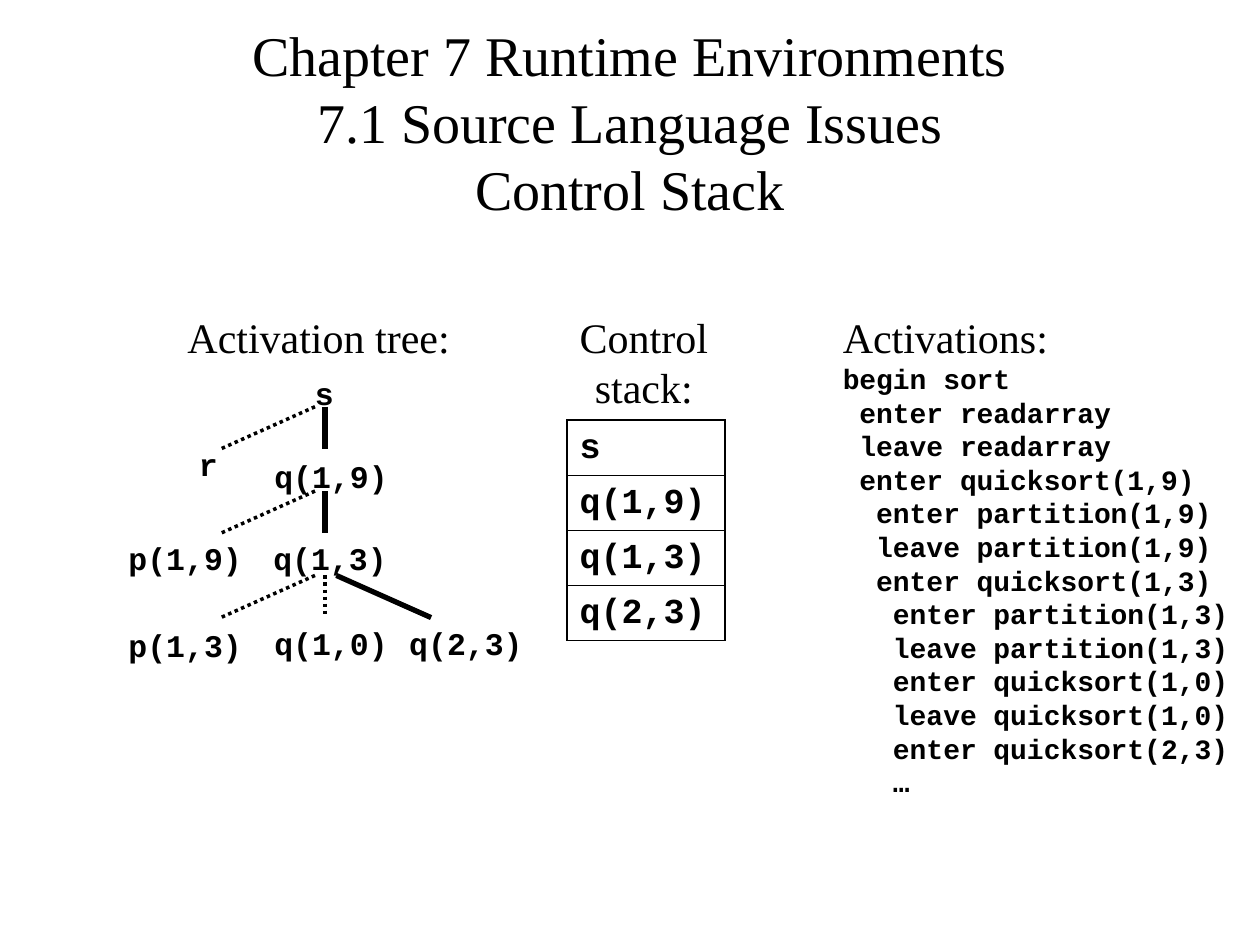
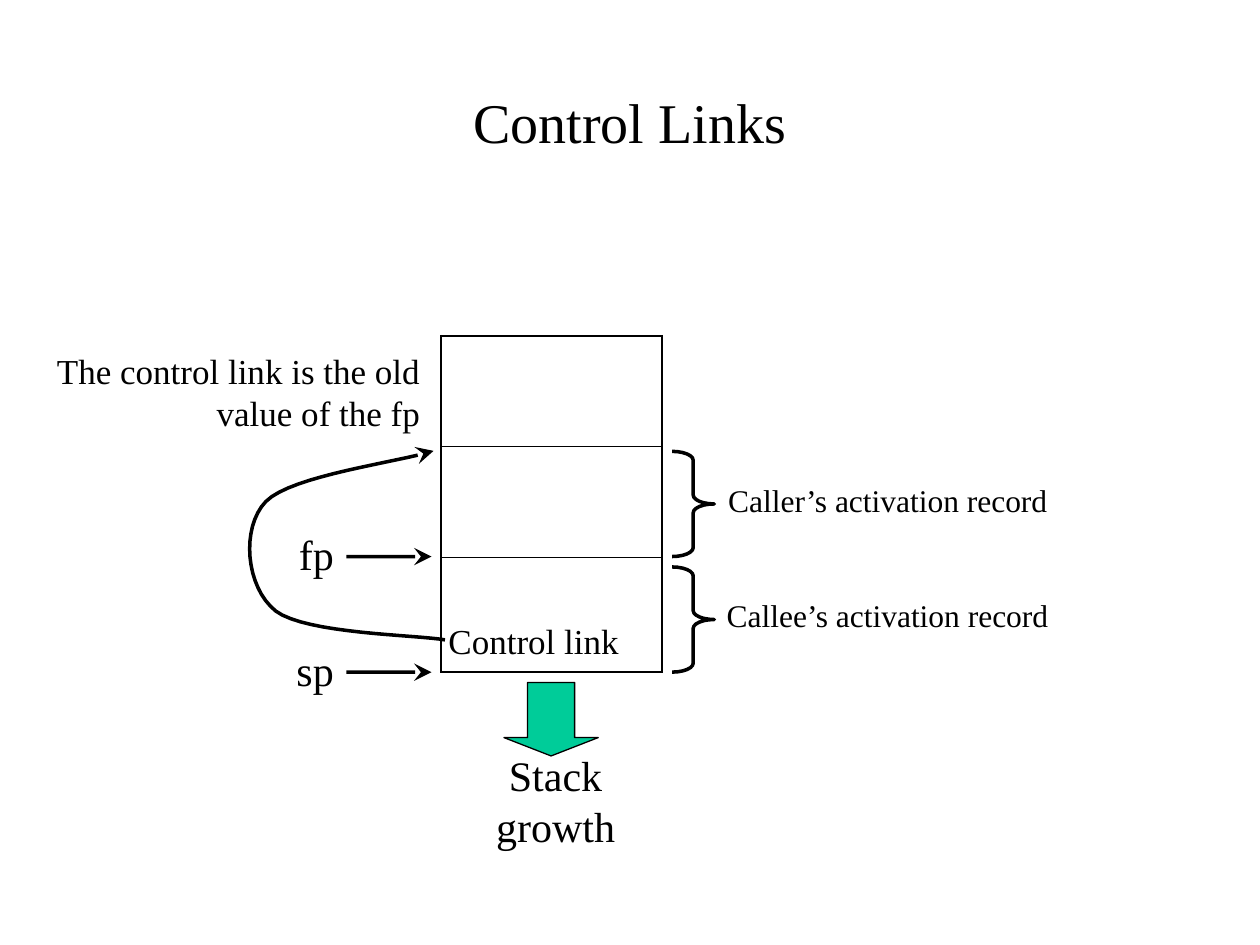
from dataclasses import dataclass

from lxml import etree
from pptx import Presentation
from pptx.dml.color import RGBColor
from pptx.enum.dml import MSO_LINE
from pptx.enum.shapes import MSO_CONNECTOR, MSO_SHAPE
from pptx.enum.text import MSO_ANCHOR, MSO_AUTO_SIZE, PP_ALIGN
from pptx.oxml.ns import qn
from pptx.util import Cm, Pt

LEFT, CENTER, RIGHT = PP_ALIGN.LEFT, PP_ALIGN.CENTER, PP_ALIGN.RIGHT
MIDDLE = MSO_ANCHOR.MIDDLE
STRAIGHT = MSO_CONNECTOR.STRAIGHT
DOTTED = MSO_LINE.ROUND_DOT
RIGHT_SIDE = 3
TITLE_ONLY = 5


@dataclass(frozen=True)
class Theme:
    ink: RGBColor = RGBColor(0, 0, 0)
    accent: RGBColor = RGBColor(0x00, 0xCC, 0x99)
    serif: str = "Times New Roman"
    mono: str = "Courier New"
    title: int = 32
    heading: int = 24
    label: int = 20
    node: int = 18
    code: int = 16
    leading: float = 1.2
    thin: float = 2
    thick: float = 3
    outer_border: float = 1.08
    inner_border: float = 0.45


THEME = Theme()

# Slide 1 content; all places are in centimetres
STACK_TITLE = "Chapter 7 Runtime Environments\n7.1 Source Language Issues\nControl Stack"
HEADINGS = [  # text, left, top, width, height
    ("Activation tree:", 3.53, 6.15, 5.79, 1.27),
    ("Control\nstack:", 11.43, 6.15, 3.1, 2.29),
]
TREE_NODES = [  # text, left, top, width
    ("s", 6.1, 7.42, 0.89),
    ("r", 3.76, 8.84, 0.89), ("q(1,9)", 5.28, 9.09, 2.79),
    ("p(1,9)", 2.34, 10.74, 2.79), ("q(1,3)", 5.26, 10.74, 2.79),
    ("p(1,3)", 2.34, 12.5, 2.79), ("q(1,0)", 5.28, 12.45, 2.79),
    ("q(2,3)", 8, 12.45, 2.79),
]
BRANCH_X = {"left": (6.35, 4.45), "middle": (6.55, 6.55), "right": (6.78, 8.69)}
TREE_LEVELS = [  # branch and whether it is on the live path
    [("left", False), ("middle", True)],
    [("left", False), ("middle", True)],
    [("left", False), ("middle", False), ("right", True)],
]
FIRST_LEVEL, LEVEL_STEP, BRANCH_DROP = 8.2, 1.7, 0.85
CONTROL_STACK = ["s", "q(1,9)", "q(1,3)", "q(2,3)"]
ACTIVATIONS = """begin sort
 enter readarray
 leave readarray
 enter quicksort(1,9)
  enter partition(1,9)
  leave partition(1,9)
  enter quicksort(1,3)
   enter partition(1,3)
   leave partition(1,3)
   enter quicksort(1,0)
   leave quicksort(1,0)
   enter quicksort(2,3)
   …"""

# Slide 2 content
LINKS_TITLE = "Control Links"
FRAME_HEIGHTS = [2.23, 2.23, 2.31]
POINTERS = [("fp", 11.22), ("sp", 13.55)]  # text, arrow height
POINTER_START, POINTER_END = 6.98, 8.7
POINTER_WIDTH, POINTER_HEIGHT = 1.6, 1.38
RECORDS = [("Caller’s activation record", 14.43, 6.96, 9.1),
           ("Callee’s activation record", 14.4, 7.04, 11.43)]
LINK_CURVE = [  # start, then two handles and an end for each bend
    (8.97, 12.9),
    (8.41, 12.8), (6.17, 12.78), (5.56, 12.32),
    (4.95, 11.84), (4.85, 10.64), (5.36, 10.11),
    (5.89, 9.58), (8.03, 9.32), (8.74, 9.09),
]
CURVE_STEPS = 16


def write(text_frame, text, size, font=THEME.serif, bold=False, align=LEFT):
    """Add one paragraph a line, using the empty first paragraph if there is one."""
    for line in text.split("\n"):
        paragraph = text_frame.paragraphs[0]
        if paragraph.runs:
            paragraph = text_frame.add_paragraph()
        paragraph.alignment = align
        paragraph.line_spacing = Pt(size * THEME.leading)
        paragraph.space_before = Pt(0)
        run = paragraph.add_run()
        run.text = line
        run.font.size, run.font.name, run.font.bold = Pt(size), font, bold
        run.font.color.rgb = THEME.ink


def add_text(slide, text, left, top, width, height, size, wrap=False, **text_format):
    box = slide.shapes.add_textbox(Cm(left), Cm(top), Cm(width), Cm(height))
    box.text_frame.word_wrap = wrap
    write(box.text_frame, text, size, **text_format)
    return box


def add_titled_slide(presentation, title):
    slide = presentation.slides.add_slide(presentation.slide_layouts[TITLE_ONLY])
    shape = slide.shapes.title
    shape.left, shape.top, shape.width, shape.height = Cm(1.9), Cm(0.43), Cm(21.6), Cm(4.02)
    shape.text_frame.auto_size = MSO_AUTO_SIZE.NONE
    shape.text_frame.vertical_anchor = MIDDLE
    write(shape.text_frame, title, THEME.title, align=CENTER)
    return slide


def style_line(shape, width, dash=None, arrow=False):
    line = shape.line
    line.color.rgb = THEME.ink
    line.width = Pt(width)
    if dash:
        line.dash_style = dash
    if arrow:
        properties = shape._element.spPr.find(qn("a:ln"))
        etree.SubElement(properties, qn("a:tailEnd"), type="stealth", w="lg", len="lg")


def add_line(slide, start, end, width, **line_format):
    connector = slide.shapes.add_connector(STRAIGHT, *(Cm(value) for value in (*start, *end)))
    style_line(connector, width, **line_format)
    etree.SubElement(connector._element.spPr, qn("a:effectLst"))
    return connector


def add_shape(slide, kind, left, top, width, height, adjustments, line_width):
    shape = slide.shapes.add_shape(kind, Cm(left), Cm(top), Cm(width), Cm(height))
    shape.shadow.inherit = False
    shape.fill.background()
    for index, value in enumerate(adjustments):
        shape.adjustments[index] = value
    style_line(shape, line_width)
    return shape


def set_borders(cell, widths):
    properties = cell._tc.get_or_add_tcPr()
    for index, (side, width) in enumerate(widths.items()):
        border = etree.Element(qn(f"a:ln{side}"), w=str(Pt(width)))
        fill = etree.SubElement(border, qn("a:solidFill"))
        etree.SubElement(fill, qn("a:srgbClr"), val=str(THEME.ink))
        properties.insert(index, border)


def add_stack_table(slide, texts, left, top, width, heights):
    """Draw a one-column stack with a strong outline and fine dividers."""
    table = slide.shapes.add_table(len(heights), 1, Cm(left), Cm(top),
                                   Cm(width), Cm(sum(heights))).table
    table.first_row = table.horz_banding = False
    outer, inner = THEME.outer_border, THEME.inner_border
    last = len(heights) - 1
    for index, (text, height) in enumerate(zip(texts, heights)):
        table.rows[index].height = Cm(height)
        cell = table.cell(index, 0)
        cell.fill.background()
        cell.vertical_anchor = MIDDLE
        set_borders(cell, {"L": outer, "R": outer,
                           "T": inner if index else outer,
                           "B": inner if index < last else outer})
        if text:
            write(cell.text_frame, text, THEME.label, font=THEME.mono, bold=True)


def bezier_points(points, steps):
    """Sample a chain of cubic curves, leaving out its start."""
    for first in range(0, len(points) - 1, 3):
        controls = points[first:first + 4]
        for step in range(1, steps + 1):
            t = step / steps
            weights = ((1 - t) ** 3, 3 * t * (1 - t) ** 2, 3 * t * t * (1 - t), t ** 3)
            yield tuple(Cm(sum(w * value for w, value in zip(weights, axis)))
                        for axis in zip(*controls))


def add_curve(slide, points):
    x, y = points[0]
    builder = slide.shapes.build_freeform(Cm(x), Cm(y))
    builder.add_line_segments(bezier_points(points, CURVE_STEPS), close=False)
    curve = builder.convert_to_shape()
    curve.shadow.inherit = False
    curve.fill.background()
    style_line(curve, THEME.thin, arrow=True)


def build_control_stack(presentation):
    slide = add_titled_slide(presentation, STACK_TITLE)
    for text, left, top, width in TREE_NODES:
        add_text(slide, text, left, top, width, 1.02, THEME.node, font=THEME.mono, bold=True)
    for level, branches in enumerate(TREE_LEVELS):
        top = FIRST_LEVEL + level * LEVEL_STEP
        for branch, live in branches:
            start_x, end_x = BRANCH_X[branch]
            add_line(slide, (start_x, top), (end_x, top + BRANCH_DROP),
                     THEME.thick if live else THEME.thin, dash=None if live else DOTTED)
    for text, *place in HEADINGS:
        add_text(slide, text, *place, THEME.heading, align=CENTER)
    activations = add_text(slide, "Activations:", 16.74, 6.15, 8.28, 10.08, THEME.heading)
    write(activations.text_frame, ACTIVATIONS, THEME.code, font=THEME.mono, bold=True)
    add_stack_table(slide, CONTROL_STACK, 11.43, 8.47, 3.18, [1.11] * len(CONTROL_STACK))


def build_control_links(presentation):
    slide = add_titled_slide(presentation, LINKS_TITLE)
    add_stack_table(slide, [""] * len(FRAME_HEIGHTS), 8.89, 6.77, 4.45, FRAME_HEIGHTS)
    for text, middle in POINTERS:
        box = add_text(slide, text, POINTER_START - POINTER_WIDTH, middle - POINTER_HEIGHT / 2,
                       POINTER_WIDTH, POINTER_HEIGHT, THEME.heading, wrap=True, align=RIGHT)
        arrow = add_line(slide, (POINTER_START, middle), (POINTER_END, middle),
                         THEME.thin, arrow=True)
        arrow.begin_connect(box, RIGHT_SIDE)
    add_curve(slide, LINK_CURVE)
    add_text(slide, "Control link", 8.79, 12.37, 3.94, 1.12, THEME.label)
    growth = add_shape(slide, MSO_SHAPE.DOWN_ARROW, 10.16, 13.76, 1.9, 1.48, (0.5, 0.25), 0.75)
    growth.fill.solid()
    growth.fill.fore_color.rgb = THEME.accent
    add_text(slide, "Stack\ngrowth", 9.75, 14.99, 2.9, 2.29, THEME.heading, align=CENTER)
    for text, left, width, brace_top in RECORDS:
        add_shape(slide, MSO_SHAPE.RIGHT_BRACE, 13.55, brace_top, 0.85, 2.12,
                  (0.21, 0.5), THEME.thin)
        add_text(slide, text, left, brace_top + 0.47, width, 1.02, THEME.node)
    add_text(slide, "The control link is the old value of the fp", 0.64, 6.93, 8.08, 1.96,
             THEME.label, wrap=True, align=RIGHT)


def main():
    presentation = Presentation()
    presentation.slide_width, presentation.slide_height = Cm(25.4), Cm(19.05)
    build_control_stack(presentation)
    build_control_links(presentation)
    presentation.save("out.pptx")


if __name__ == "__main__":
    main()
